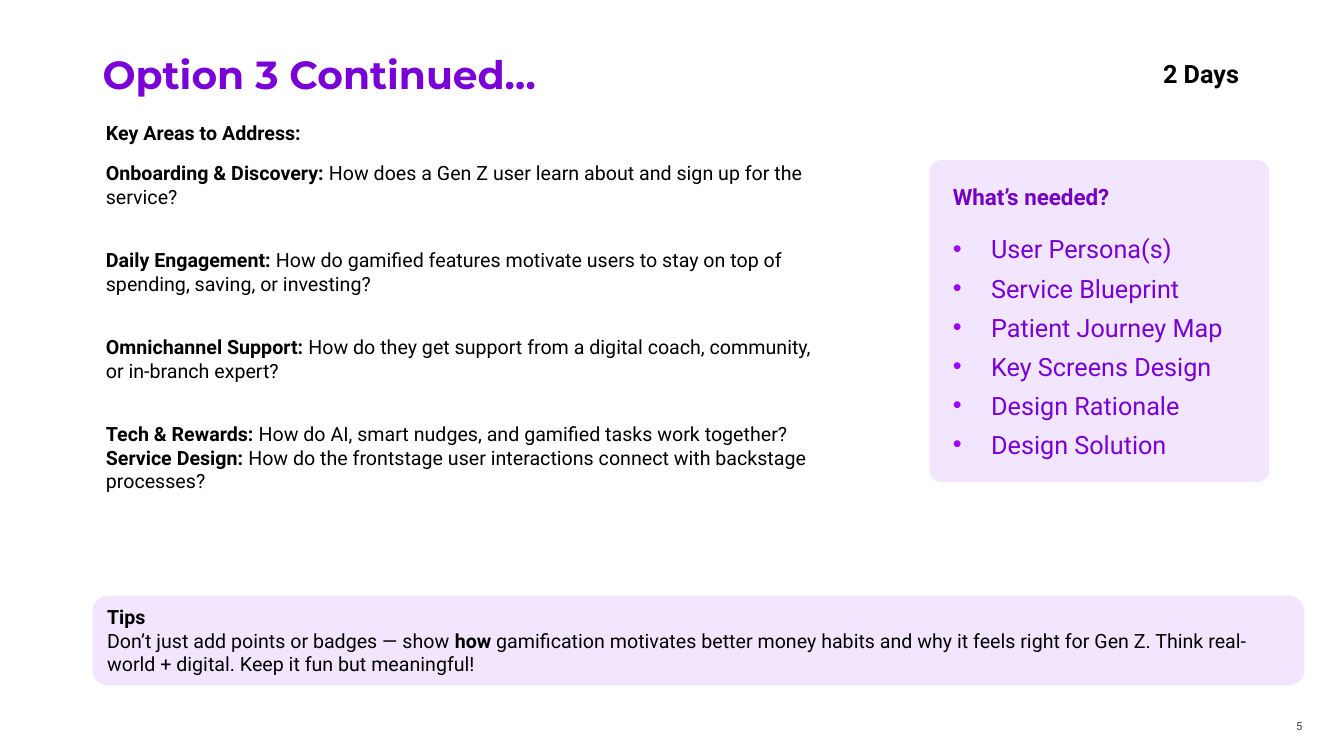
import pptx
import pptx.dml.color
import pptx.enum.shapes
import pptx.enum.text
import pptx.oxml
import pptx.oxml.ns
import pptx.util

RGBColor = pptx.dml.color.RGBColor
Anchor = pptx.enum.text.MSO_ANCHOR
Align = pptx.enum.text.PP_ALIGN
Pt = pptx.util.Pt

SLIDE_WIDTH = pptx.util.Inches(13.33)
SLIDE_HEIGHT = pptx.util.Inches(7.5)

BLACK = RGBColor(0x00, 0x00, 0x00)
GREY = RGBColor(0x40, 0x40, 0x40)
PURPLE = RGBColor(0x79, 0x00, 0xD7)
DEEP_PURPLE = RGBColor(0x75, 0x00, 0xC0)
BULLET_PURPLE = RGBColor(0xA1, 0x00, 0xFF)
LAVENDER = RGBColor(0xF2, 0xE6, 0xFF)

KEY_AREAS = [
    ("**Onboarding & Discovery:** How does a Gen Z user learn about and sign up "
     "for the service?", 28.5),
    ("**Daily Engagement:** How do gamified features motivate users to stay on top "
     "of spending, saving, or investing?", 28.5),
    ("**Omnichannel Support:** How do they get support from a digital coach, "
     "community, or in-branch expert?", 28.5),
    ("**Tech & Rewards:** How do AI, smart nudges, and gamified tasks work together?", 0),
    ("**Service Design:** How do the frontstage user interactions connect with "
     "backstage processes?", 0),
]
DELIVERABLES = [
    "User Persona(s)", "Service Blueprint", "Patient Journey Map",
    "Key Screens Design", "Design Rationale", "Design Solution",
]
TIP = ("Don’t just add points or badges — show **how** gamification motivates better "
       "money habits and why it feels right for Gen Z. Think real-world + digital. "
       "Keep it fun but meaningful!")


def area(left, top, width, height):
    """Turn percentages of the slide's size into lengths."""
    return (int(SLIDE_WIDTH * left / 100), int(SLIDE_HEIGHT * top / 100),
            int(SLIDE_WIDTH * width / 100), int(SLIDE_HEIGHT * height / 100))


def set_up_frame(frame, inset, anchor, wrap=True):
    frame.word_wrap = wrap
    frame.vertical_anchor = anchor
    if inset is not None:
        frame.margin_left = frame.margin_right = pptx.util.Inches(inset)
        frame.margin_top = frame.margin_bottom = pptx.util.Inches(inset)
    return frame


def add_text_box(slide, place, inset=None, anchor=Anchor.TOP, wrap=True):
    box = slide.shapes.add_textbox(*area(*place))
    return set_up_frame(box.text_frame, inset, anchor, wrap)


def add_card(slide, place, corner, inset=None):
    card = slide.shapes.add_shape(
        pptx.enum.shapes.MSO_SHAPE.ROUNDED_RECTANGLE, *area(*place))
    card.adjustments[0] = corner
    card.shadow.inherit = False
    card.fill.solid()
    card.fill.fore_color.rgb = LAVENDER
    card.line.fill.background()
    return set_up_frame(card.text_frame, inset, Anchor.MIDDLE)


def add_bullet(paragraph, color, indent=pptx.util.Inches(0.38)):
    properties = paragraph._p.get_or_add_pPr()
    properties.set("marL", str(indent))
    properties.set("indent", str(-indent))
    namespace = pptx.oxml.ns.nsdecls("a")
    for xml in (
        f'<a:buClr {namespace}><a:srgbClr val="{color}"/></a:buClr>',
        f'<a:buFont {namespace} typeface="Arial"/>',
        f'<a:buChar {namespace} char="•"/>',
    ):
        properties.append(pptx.oxml.parse_xml(xml))


def add_text(frame, text, size=14, color=BLACK, font="Roboto", align=Align.LEFT,
             before=0, after=0, line_spacing=None, bullet=None):
    """Write one paragraph; parts between double asterisks are bold."""
    first = frame.paragraphs[0]
    paragraph = frame.add_paragraph() if first.runs else first
    if bullet is not None:
        add_bullet(paragraph, bullet)
    paragraph.alignment = align
    paragraph.space_before = Pt(before)
    paragraph.space_after = Pt(after)
    if line_spacing is not None:
        paragraph.line_spacing = line_spacing
    for index, part in enumerate(text.split("**")):
        if part:
            run = paragraph.add_run()
            run.text = part
            run.font.name = font
            run.font.size = Pt(size)
            run.font.bold = index % 2 == 1
            run.font.color.rgb = color


def add_header(slide):
    title = add_text_box(slide, (6.9, 7.2, 52.05, 9.6))
    add_text(title, "**Option 3 Continued…**", size=28, color=PURPLE,
             font="Montserrat", line_spacing=0.8)
    duration = add_text_box(slide, (85.8, 7.07, 7.2, 5.33), wrap=False)
    add_text(duration, "**2 Days**", size=18)


def add_key_areas(slide):
    frame = add_text_box(slide, (7.88, 16, 53.7, 52.93), inset=0)
    add_text(frame, "**Key Areas to Address:**", after=12)
    for text, gap in KEY_AREAS:
        add_text(frame, text, after=gap)


def add_deliverables(slide):
    frame = add_card(slide, (69.15, 21.2, 25.28, 42.53), corner=0.035, inset=0.2)
    add_text(frame, "**What’s needed?**", size=16, color=DEEP_PURPLE, after=12)
    for deliverable in DELIVERABLES:
        add_text(frame, deliverable, size=18, color=PURPLE, before=1, after=1,
                 line_spacing=1.2, bullet=BULLET_PURPLE)


def add_tips(slide):
    frame = add_card(slide, (6.9, 78.8, 90.15, 11.87), corner=0.17)
    add_text(frame, "**Tips**")
    add_text(frame, TIP)


def add_page_number(slide):
    frame = add_text_box(slide, (93.75, 94.53, 3.15, 3.07), inset=0,
                         anchor=Anchor.MIDDLE)
    add_text(frame, "5", size=8, color=GREY, align=Align.RIGHT)


def main():
    presentation = pptx.Presentation()
    presentation.slide_width = SLIDE_WIDTH
    presentation.slide_height = SLIDE_HEIGHT
    slide = presentation.slides.add_slide(presentation.slide_layouts[6])
    add_page_number(slide)
    add_header(slide)
    add_key_areas(slide)
    add_deliverables(slide)
    add_tips(slide)
    presentation.save("out.pptx")


if __name__ == "__main__":
    main()
